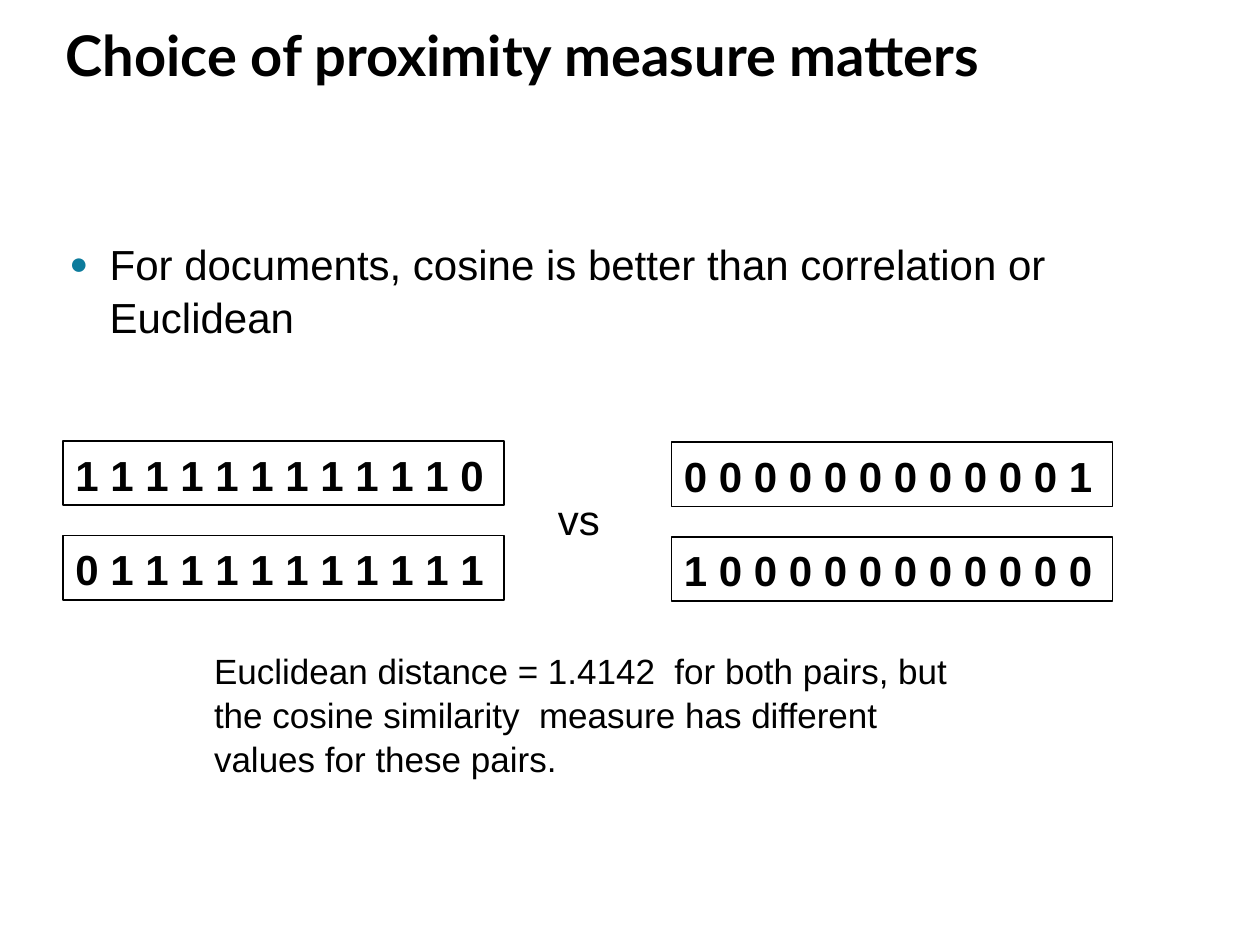
from pptx import Presentation
from pptx.dml.color import RGBColor
from pptx.enum import shapes, text
from pptx.oxml import parse_xml
from pptx.oxml.ns import nsdecls
from pptx.util import Inches, Pt

BLACK = RGBColor(0, 0, 0)
TEAL = RGBColor(0x0C, 0x7B, 0x9C)
LEAD = 1.05  # line spacing of all Arial text


def place(shape, box):
    shape.left, shape.top, shape.width, shape.height = map(Inches, box)


def write(shape, words, size, font="Arial", bold=False, lead=LEAD):
    """Fill a shape with one left-aligned paragraph and return it."""
    frame = shape.text_frame
    frame.word_wrap = True
    frame.auto_size = text.MSO_AUTO_SIZE.NONE
    frame.text = words
    para = frame.paragraphs[0]
    para.alignment = text.PP_ALIGN.LEFT
    para.line_spacing = lead
    para.space_before = Pt(0)
    para.font.name = font
    para.font.size = Pt(size)
    para.font.bold = bold
    para.font.color.rgb = BLACK
    return para


def add_title(slide, box, words):
    title = slide.shapes.title
    place(title, box)
    write(title, words, 32, "Lato", True, Pt(36))
    title.text_frame.vertical_anchor = text.MSO_ANCHOR.BOTTOM


def add_bullet(slide, box, words, drop):
    """Put one bullet in the body, its text starting drop inches down."""
    body = slide.placeholders[1]
    place(body, box)
    body.text_frame.margin_top = Inches(drop)
    para = write(body, words, 24)
    props = para._p.get_or_add_pPr()
    props.set("marL", str(Inches(0.32)))
    props.set("indent", str(-Inches(0.32)))
    ns = nsdecls("a")
    marks = (
        f'<a:buClr {ns}><a:srgbClr val="{TEAL}"/></a:buClr>',
        f'<a:buSzPct {ns} val="75000"/>',
        f'<a:buFont {ns} typeface="Arial"/>',
        f'<a:buChar {ns} char="●"/>',
    )
    for mark in marks:
        props.insert_element_before(parse_xml(mark), "a:tabLst", "a:defRPr", "a:extLst")


def add_pair(slide, left, top, rows):
    """Stack the bit vectors of one pair in equal boxes."""
    for row, bits in enumerate(rows):
        box = (left, top + row * 0.75, 3.5, 0.51)
        rect = slide.shapes.add_shape(shapes.MSO_SHAPE.RECTANGLE, *map(Inches, box))
        rect.shadow.inherit = False
        rect.fill.background()
        rect.line.color.rgb = BLACK
        rect.line.width = Pt(1)
        write(rect, " ".join(bits), 24, bold=True)
        rect.text_frame.vertical_anchor = text.MSO_ANCHOR.MIDDLE


def add_note(slide, box, words, size):
    write(slide.shapes.add_textbox(*map(Inches, box)), words, size)


def main():
    deck = Presentation()
    deck.slide_width, deck.slide_height = Inches(10), Inches(7.5)
    slide = deck.slides.add_slide(deck.slide_layouts[1])

    add_title(slide, (0.42, 0.17, 9.06, 0.58), "Choice of proximity measure matters")
    add_bullet(slide, (0.45, 1.25, 9.1, 5.67),
               "For documents, cosine is better than correlation or Euclidean", 0.62)
    add_pair(slide, 0.5, 3.5, ("1" * 11 + "0", "0" + "1" * 11))
    add_pair(slide, 5.33, 3.51, ("0" * 11 + "1", "1" + "0" * 11))
    add_note(slide, (4.33, 3.85, 0.61, 0.67), "vs", 24)
    add_note(slide, (1.6, 5.09, 6.08, 1.11),
             "Euclidean distance = 1.4142  for both pairs, but the cosine similarity"
             "  measure has different values for these pairs.", 20)
    deck.save("out.pptx")


if __name__ == "__main__":
    main()
